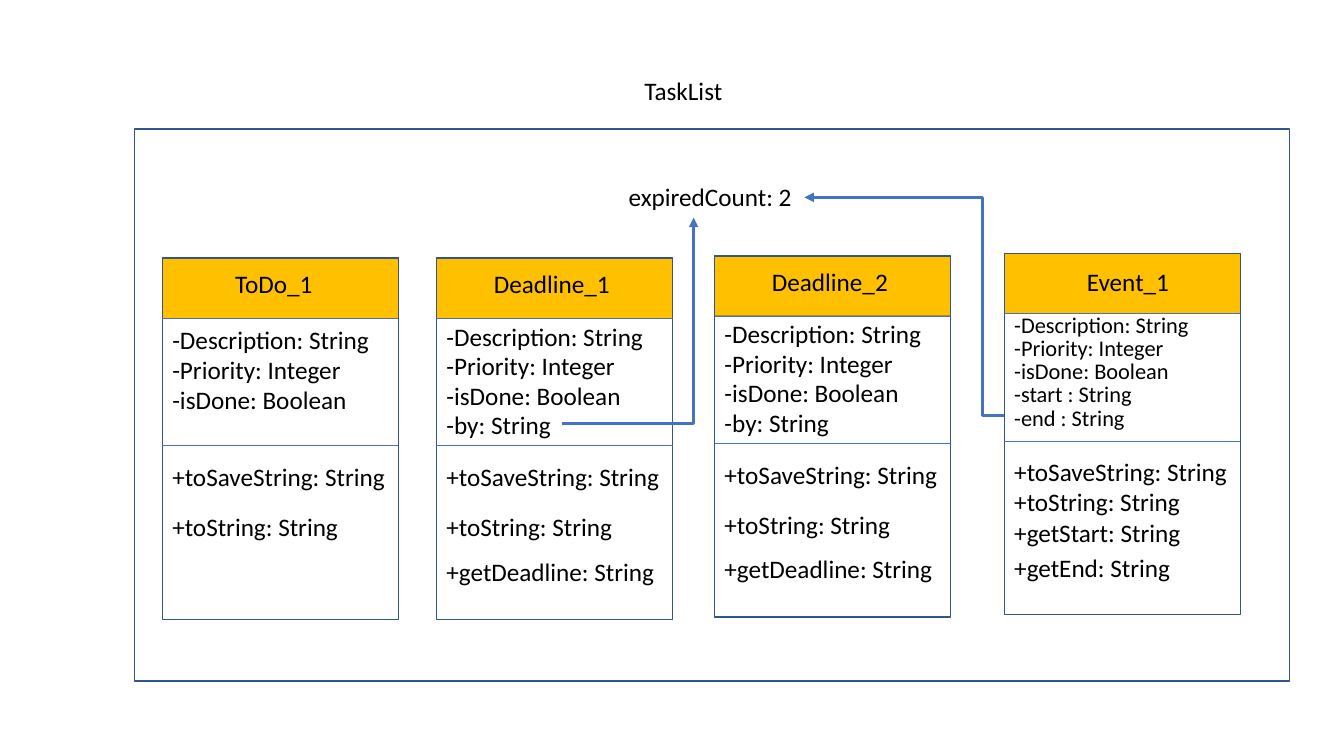
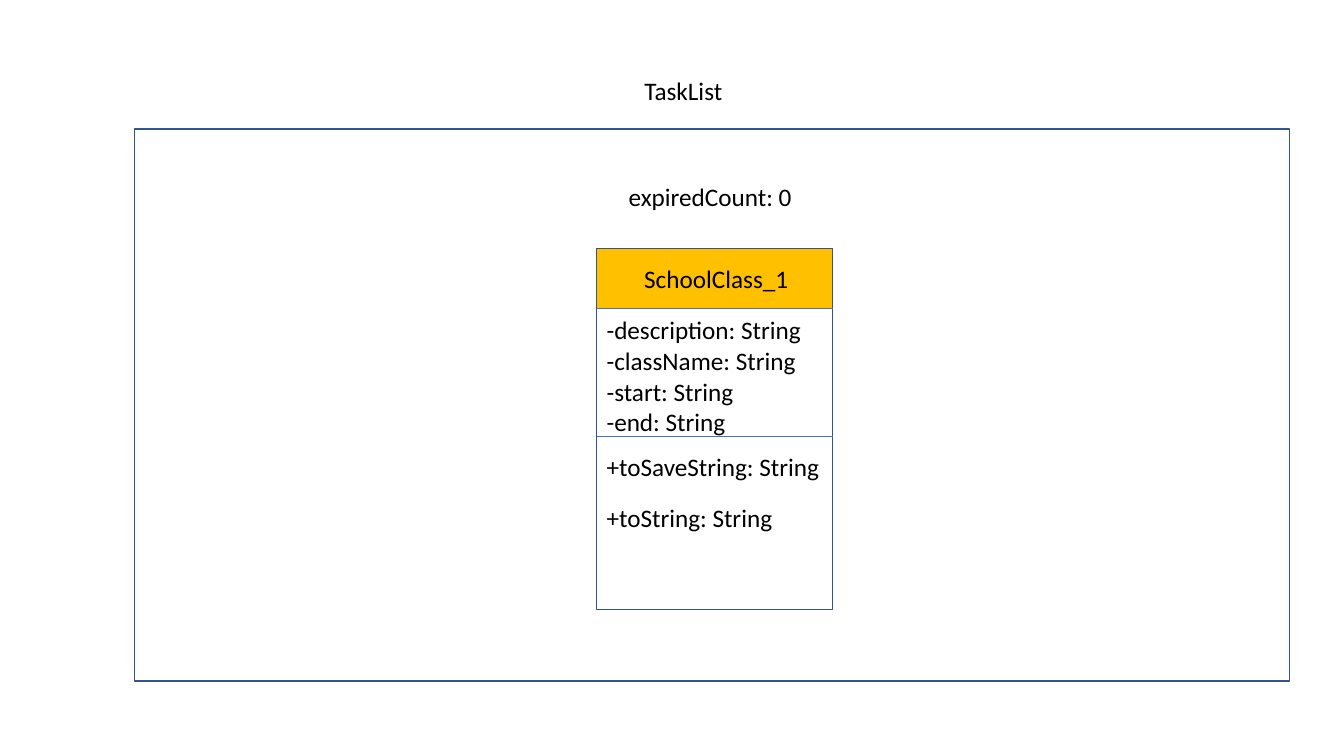
import dataclasses

import pptx
import pptx.dml.color
import pptx.enum.shapes
import pptx.enum.text
import pptx.oxml
import pptx.oxml.ns
import pptx.util

Pt = pptx.util.Pt
Anchor = pptx.enum.text.MSO_ANCHOR
Align = pptx.enum.text.PP_ALIGN
Connector = pptx.enum.shapes.MSO_CONNECTOR


@dataclasses.dataclass(frozen=True)
class Theme:
    font: str = "Calibri"
    text: str = "000000"
    header: str = "FFC000"
    header_edge: str = "BD8E00"
    edge: str = "325491"
    link: str = "4472C4"
    body_size: float = 18
    small_size: float = 16
    edge_width: float = 1
    divider_width: float = 0.5
    link_width: float = 2.25


THEME = Theme()
CLASS_WIDTH, CLASS_HEIGHT = 168.6, 258
HEADER_HEIGHT, ATTRIBUTES_END, METHODS_TOP = 43, 134, 141.4
INSET_X, INSET_Y = 7.2, 3.6


@dataclasses.dataclass(frozen=True)
class ClassBox:
    """A class diagram; name_at and attributes_top are measured from its corner."""
    name: str
    left: float
    top: float
    name_at: tuple
    attributes: tuple
    methods: tuple
    method_gaps: tuple = (0, 14.5, 10)
    attributes_top: float = 42
    attribute_pitch: float = 21
    attribute_size: float = THEME.body_size


TASK_ATTRIBUTES = ("-Description: String", "-Priority: Integer", "-isDone: Boolean")
TASK_METHODS = ("+toSaveString: String", "+toString: String")
DEADLINE_ATTRIBUTES = TASK_ATTRIBUTES + ("-by: String",)
DEADLINE_METHODS = TASK_METHODS + ("+getDeadline: String",)

TASKS = (
    ClassBox("ToDo_1", 116, 184.4, (52, 7.2), TASK_ATTRIBUTES, TASK_METHODS,
             attributes_top=44, attribute_pitch=21.3),
    ClassBox("Deadline_1", 311.8, 184.4, (41, 7.2), DEADLINE_ATTRIBUTES, DEADLINE_METHODS),
    ClassBox("Deadline_2", 510.4, 182.8, (41, 7.2), DEADLINE_ATTRIBUTES, DEADLINE_METHODS),
    ClassBox("Event_1", 717.4, 181, (59, 9.2),
             TASK_ATTRIBUTES + ("-start : String", "-end : String"),
             TASK_METHODS + ("+getStart: String", "+getEnd: String"),
             method_gaps=(0, 0, 0, 4), attributes_top=40.5,
             attribute_pitch=16.5, attribute_size=THEME.small_size),
)
SCHOOL_CLASSES = (
    ClassBox("SchoolClass_1", 426.2, 177.6, (34, 10.8),
             ("-description: String", "-className: String", "-start: String", "-end: String"),
             TASK_METHODS, attributes_top=43, attribute_pitch=22),
)


def rgb(value):
    return pptx.dml.color.RGBColor.from_string(value)


def write(frame, *lines, size=THEME.body_size, inset=(INSET_X, INSET_Y), pitch=None, gaps=()):
    """Fill a text frame, one paragraph a line; gaps are the spaces before them."""
    frame.word_wrap = True
    frame.auto_size = pptx.enum.text.MSO_AUTO_SIZE.NONE
    frame.vertical_anchor = Anchor.TOP
    frame.margin_left, frame.margin_top = map(Pt, inset)
    frame.margin_right = frame.margin_bottom = 0
    for index, line in enumerate(lines):
        paragraph = frame.add_paragraph() if index else frame.paragraphs[0]
        paragraph.alignment = Align.LEFT
        paragraph.space_before = Pt(gaps[index] if gaps else 0)
        if pitch:
            paragraph.line_spacing = Pt(pitch)
        run = paragraph.add_run()
        run.text = line
        run.font.name = THEME.font
        run.font.size = Pt(size)
        run.font.color.rgb = rgb(THEME.text)


def add_text(slide, left, top, width, height, *lines, **text_format):
    label = slide.shapes.add_textbox(*map(Pt, (left, top, width, height)))
    write(label.text_frame, *lines, **text_format)


def add_rectangle(slide, left, top, width, height, edge, fill=None):
    rectangle = slide.shapes.add_shape(
        pptx.enum.shapes.MSO_SHAPE.RECTANGLE, *map(Pt, (left, top, width, height)))
    rectangle.shadow.inherit = False
    if fill:
        rectangle.fill.solid()
        rectangle.fill.fore_color.rgb = rgb(fill)
    else:
        rectangle.fill.background()
    rectangle.line.color.rgb = rgb(edge)
    rectangle.line.width = Pt(THEME.edge_width)
    return rectangle


def add_line(slide, start, end, width, route=Connector.STRAIGHT):
    line = slide.shapes.add_connector(route, *map(Pt, (*start, *end)))
    line.line.color.rgb = rgb(THEME.link)
    line.line.width = Pt(width)
    line._element.spPr.append(pptx.oxml.parse_xml(
        f"<a:effectLst {pptx.oxml.ns.nsdecls('a')}/>"))
    return line


def add_bent_arrow(slide, start, end, preset, bend=None):
    """Draw an elbow arrow; bend is the share of its width before the turn."""
    arrow = add_line(slide, start, end, THEME.link_width, Connector.ELBOW)
    properties = arrow._element.spPr
    namespace = pptx.oxml.ns.nsdecls("a")
    properties.find(pptx.oxml.ns.qn("a:ln")).append(
        pptx.oxml.parse_xml(f'<a:tailEnd {namespace} type="triangle"/>'))
    geometry = properties.find(pptx.oxml.ns.qn("a:prstGeom"))
    geometry.set("prst", preset)
    if bend is not None:
        geometry.find(pptx.oxml.ns.qn("a:avLst")).append(pptx.oxml.parse_xml(
            f'<a:gd {namespace} name="adj1" fmla="val {round(bend * 100000)}"/>'))


def add_class(slide, box):
    header = add_rectangle(slide, box.left, box.top, CLASS_WIDTH, HEADER_HEIGHT,
                           THEME.header_edge, THEME.header)
    write(header.text_frame, box.name, inset=box.name_at)
    add_rectangle(slide, box.left, box.top, CLASS_WIDTH, CLASS_HEIGHT, THEME.edge)
    for offset in (HEADER_HEIGHT, ATTRIBUTES_END):
        divider_y = box.top + offset
        add_line(slide, (box.left, divider_y), (box.left + CLASS_WIDTH, divider_y),
                 THEME.divider_width)
    add_text(slide, box.left, box.top + box.attributes_top, CLASS_WIDTH,
             ATTRIBUTES_END - box.attributes_top, *box.attributes,
             size=box.attribute_size, pitch=box.attribute_pitch)
    add_text(slide, box.left, box.top + METHODS_TOP, CLASS_WIDTH,
             CLASS_HEIGHT - METHODS_TOP, *box.methods, gaps=box.method_gaps)


def add_task_list(deck, expired_count, boxes):
    slide = deck.slides.add_slide(deck.slide_layouts.get_by_name("Title Only"))
    title = slide.shapes.title
    title.left, title.top, title.width, title.height = map(Pt, (453, 50, 80, 29))
    write(title.text_frame, "TaskList")
    add_rectangle(slide, 96, 92, 825, 394.5, THEME.edge)
    add_text(slide, 442, 126, 133, 29, f"expiredCount: {expired_count}")
    for box in boxes:
        add_class(slide, box)
    return slide


def main():
    deck = pptx.Presentation()
    deck.slide_width, deck.slide_height = Pt(960), Pt(540)

    tasks = add_task_list(deck, 2, TASKS)
    add_bent_arrow(tasks, (401.6, 302.4), (495.4, 155.5), "bentConnector2")
    add_bent_arrow(tasks, (717.4, 296.8), (574.6, 141), "bentConnector3", bend=0.11)

    add_task_list(deck, 0, SCHOOL_CLASSES)
    deck.save("out.pptx")


if __name__ == "__main__":
    main()
